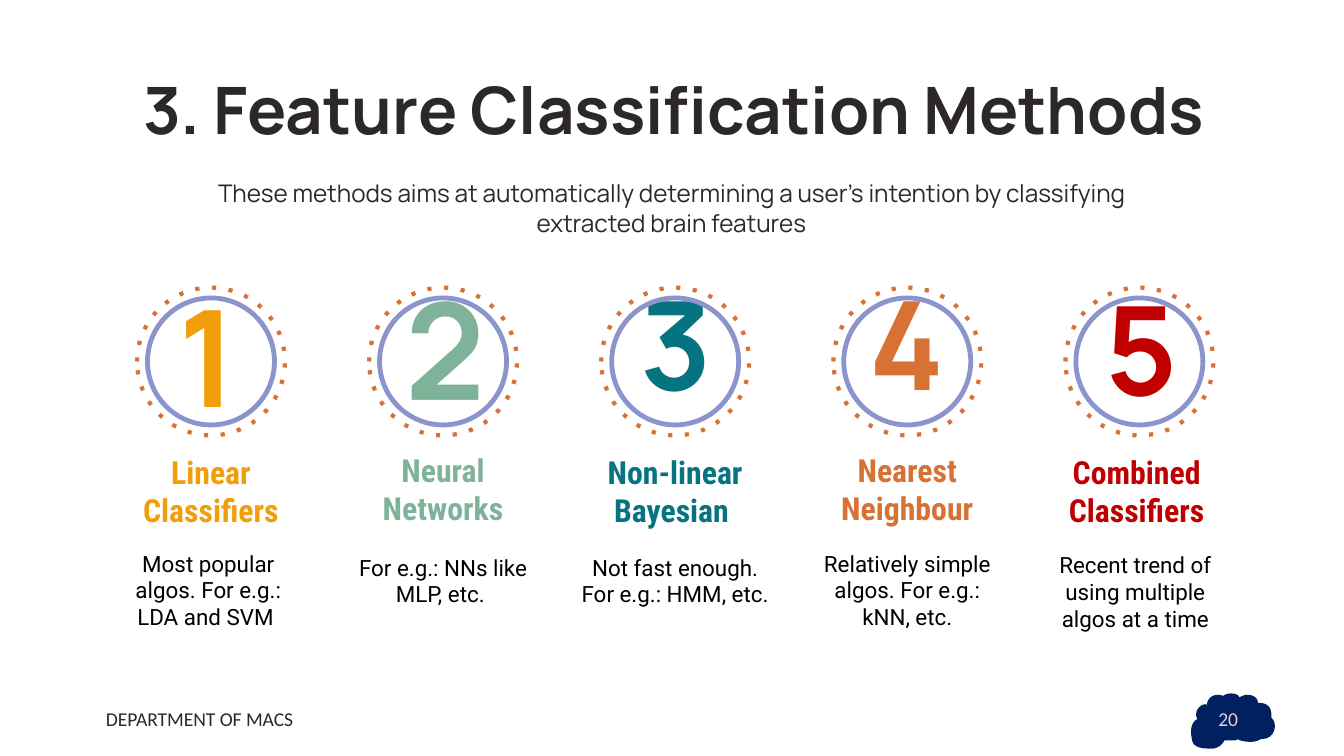
from dataclasses import dataclass

import pptx
import pptx.dml.color
import pptx.enum.shapes
import pptx.enum.text
import pptx.oxml.ns
import pptx.util
from lxml import etree
from pptx.util import Inches

ALIGN = pptx.enum.text.PP_ALIGN
ANCHOR = pptx.enum.text.MSO_ANCHOR
SHAPE = pptx.enum.shapes.MSO_SHAPE

COLORS = {
    "ink": "2C272B", "black": "000000", "navy": "002060", "pink": "EACFDB",
    "coral": "E8716B", "lilac": "8C95CB", "orange": "D77134",
    "amber": "F19E0A", "green": "7FB399", "teal": "057380", "red": "C00000",
}

FIRST_CENTER, PITCH = 1.57, 1.727
RING_CENTER_Y = 2.69
RING_SIZE, DOTS_SIZE = 0.96, 1.1
RING_THICKNESS = 0.015
BODY_WIDTH = 1.61
CURVE_STEPS = 8

CLOUD_START = (9.16, 5.16)
CLOUD_CURVES = [
    (9.19, 5.16, 9.22, 5.17, 9.22, 5.19),
    (9.24, 5.18, 9.26, 5.17, 9.28, 5.17),
    (9.32, 5.17, 9.36, 5.19, 9.36, 5.23),
    (9.39, 5.23, 9.47, 5.23, 9.46, 5.34),
    (9.51, 5.38, 9.49, 5.5, 9.39, 5.5),
    (9.39, 5.5, 9.38, 5.5, 9.38, 5.5),
    (9.35, 5.52, 9.32, 5.52, 9.3, 5.52),
    (9.26, 5.52, 9.22, 5.51, 9.21, 5.5),
    (9.2, 5.51, 9.18, 5.51, 9.17, 5.51),
    (9.14, 5.51, 9.11, 5.51, 9.11, 5.51),
    (9.11, 5.51, 9.09, 5.56, 9.03, 5.57),
    (9.02, 5.57, 9, 5.57, 8.99, 5.57),
    (8.94, 5.57, 8.88, 5.56, 8.87, 5.51),
    (8.86, 5.46, 8.85, 5.38, 8.91, 5.35),
    (8.88, 5.31, 8.92, 5.24, 8.97, 5.24),
    (8.97, 5.24, 8.98, 5.25, 8.98, 5.25),
    (8.98, 5.2, 9.02, 5.17, 9.06, 5.17),
    (9.07, 5.17, 9.09, 5.17, 9.1, 5.18),
    (9.11, 5.17, 9.13, 5.16, 9.16, 5.16),
]


@dataclass
class Style:
    font: str
    size: float
    color: str
    bold: bool = False
    align: ALIGN = ALIGN.CENTER
    anchor: ANCHOR = ANCHOR.TOP
    inset: float | None = 0.1
    wrap: bool = True


@dataclass
class Method:
    digit: str
    label: str
    body: str
    color: str
    digit_box: tuple[float, float, float, float]
    digit_size: int
    label_top: float
    body_top: float
    label_width: float = 1.63
    label_shift: float = 0
    body_shift: float = 0
    digit_behind: bool = False


METHODS = [
    Method("1", "Linear Classifiers", "Most popular algos. For e.g.: LDA and SVM ",
           "amber", (1.23, 1.98, 0.7, 1.31), 72, 3.42, 4.1, 1.36, body_shift=-0.02),
    Method("2", "Neural Networks", "For e.g.: NNs like MLP, etc. ",
           "green", (2.92, 1.93, 0.77, 1.31), 72, 3.4, 4.03),
    Method("3", "Non-linear Bayesian ", "Not fast enough. For e.g.: HMM, etc. ",
           "teal", (4.67, 1.94, 0.72, 1.21), 66, 3.42, 4.03, 1.96, digit_behind=True),
    Method("4", "Nearest Neighbour", "Relatively simple algos. For e.g.: kNN, etc.",
           "orange", (6.37, 1.94, 0.72, 1.21), 66, 3.4, 4.1, digit_behind=True),
    Method("5", "Combined Classifiers", "Recent trend of using multiple algos at a time",
           "red", (8.13, 1.98, 0.72, 1.21), 66, 3.42, 4.11,
           label_shift=-0.02, body_shift=-0.03),
]


def rgb(name: str) -> pptx.dml.color.RGBColor:
    return pptx.dml.color.RGBColor.from_string(COLORS[name])


def add_text(s, box: tuple[float, float, float, float], text: str, style: Style) -> None:
    sp = s.shapes.add_textbox(*map(Inches, box))
    tf = sp.text_frame
    tf.word_wrap = style.wrap
    if not style.wrap:
        tf.auto_size = pptx.enum.text.MSO_AUTO_SIZE.SHAPE_TO_FIT_TEXT
    tf.vertical_anchor = style.anchor
    if style.inset is not None:
        tf.margin_left = tf.margin_right = Inches(style.inset)
        tf.margin_top = tf.margin_bottom = Inches(style.inset)
    p = tf.paragraphs[0]
    p.alignment = style.align
    r = p.add_run()
    r.text = text
    r.font.name = style.font
    r.font.size = pptx.util.Pt(style.size)
    r.font.bold = style.bold
    r.font.color.rgb = rgb(style.color)


def add_round(s, kind: SHAPE, center: float, size: float, line: str, width: float):
    sp = s.shapes.add_shape(kind, Inches(center - size / 2),
                            Inches(RING_CENTER_Y - size / 2), Inches(size), Inches(size))
    sp.shadow.inherit = False
    sp.line.color.rgb = rgb(line)
    sp.line.width = pptx.util.Pt(width)
    return sp


def add_badge(s, center: float) -> None:
    ring = add_round(s, SHAPE.DONUT, center, RING_SIZE, "lilac", 1.5)
    ring.adjustments[0] = RING_THICKNESS / RING_SIZE
    ring.fill.solid()
    ring.fill.fore_color.rgb = rgb("coral")
    dots = add_round(s, SHAPE.OVAL, center, DOTS_SIZE, "orange", 2.25)
    dots.fill.background()
    ln = dots.line._get_or_add_ln()
    etree.SubElement(ln, pptx.oxml.ns.qn("a:prstDash")).set("val", "dot")


def add_digit(s, m: Method) -> None:
    add_text(s, m.digit_box, m.digit,
             Style("Manrope", m.digit_size, m.color, True, ALIGN.LEFT, inset=None, wrap=False))


def add_method(s, m: Method, center: float) -> None:
    if m.digit_behind:
        add_digit(s, m)
    add_text(s, (center + m.label_shift - m.label_width / 2, m.label_top, m.label_width, 0.47),
             m.label, Style("Roboto Condensed", 17, m.color, True, anchor=ANCHOR.MIDDLE))
    add_text(s, (center + m.body_shift - BODY_WIDTH / 2, m.body_top, BODY_WIDTH, 0.58),
             m.body, Style("Roboto", 12, "black", anchor=ANCHOR.MIDDLE))
    add_badge(s, center)
    if not m.digit_behind:
        add_digit(s, m)


def add_cloud(s) -> None:
    points = []
    x0, y0 = CLOUD_START
    for x1, y1, x2, y2, x3, y3 in CLOUD_CURVES:
        for step in range(1, CURVE_STEPS + 1):
            t = step / CURVE_STEPS
            a, b, c, d = (1 - t) ** 3, 3 * t * (1 - t) ** 2, 3 * t * t * (1 - t), t ** 3
            points.append((Inches(a * x0 + b * x1 + c * x2 + d * x3),
                           Inches(a * y0 + b * y1 + c * y2 + d * y3)))
        x0, y0 = x3, y3
    outline = s.shapes.build_freeform(*map(Inches, CLOUD_START))
    outline.add_line_segments(points, close=True)
    sp = outline.convert_to_shape()
    sp.shadow.inherit = False
    sp.fill.solid()
    sp.fill.fore_color.rgb = rgb("navy")
    sp.line.fill.background()


def main() -> None:
    prs = pptx.Presentation()
    prs.slide_width, prs.slide_height = Inches(10), Inches(10 * 9 / 16)
    s = prs.slides.add_slide(prs.slide_layouts[6])
    add_text(s, (0.75, 0.49, 8.53, 0.63), "3. Feature Classification Methods",
             Style("Manrope", 35, "ink", True, anchor=ANCHOR.MIDDLE))
    add_text(s, (1.51, 1.23, 6.97, 0.7),
             "These methods aims at automatically determining a user’s intention "
             "by classifying extracted brain features", Style("Manrope", 13, "ink"))
    add_text(s, (0.69, 5.21, 2.25, 0.3), "DEPARTMENT OF MACS",
             Style("Calibri", 10.5, "ink", align=ALIGN.LEFT, inset=None))
    add_cloud(s)
    add_text(s, (7.06, 5.21, 2.25, 0.3), "20",
             Style("Calibri", 10.5, "pink", align=ALIGN.RIGHT, inset=None))
    for i, m in enumerate(METHODS):
        add_method(s, m, FIRST_CENTER + i * PITCH)
    prs.save("out.pptx")


if __name__ == "__main__":
    main()
